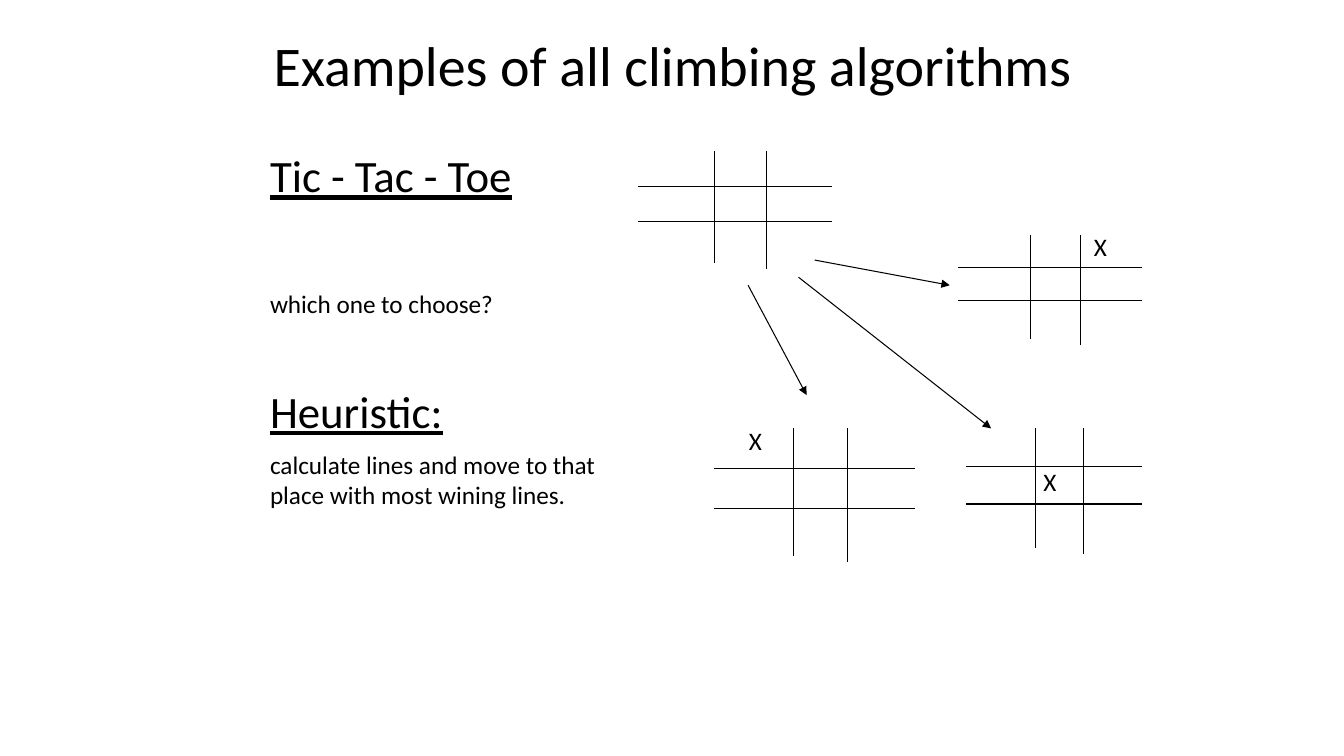
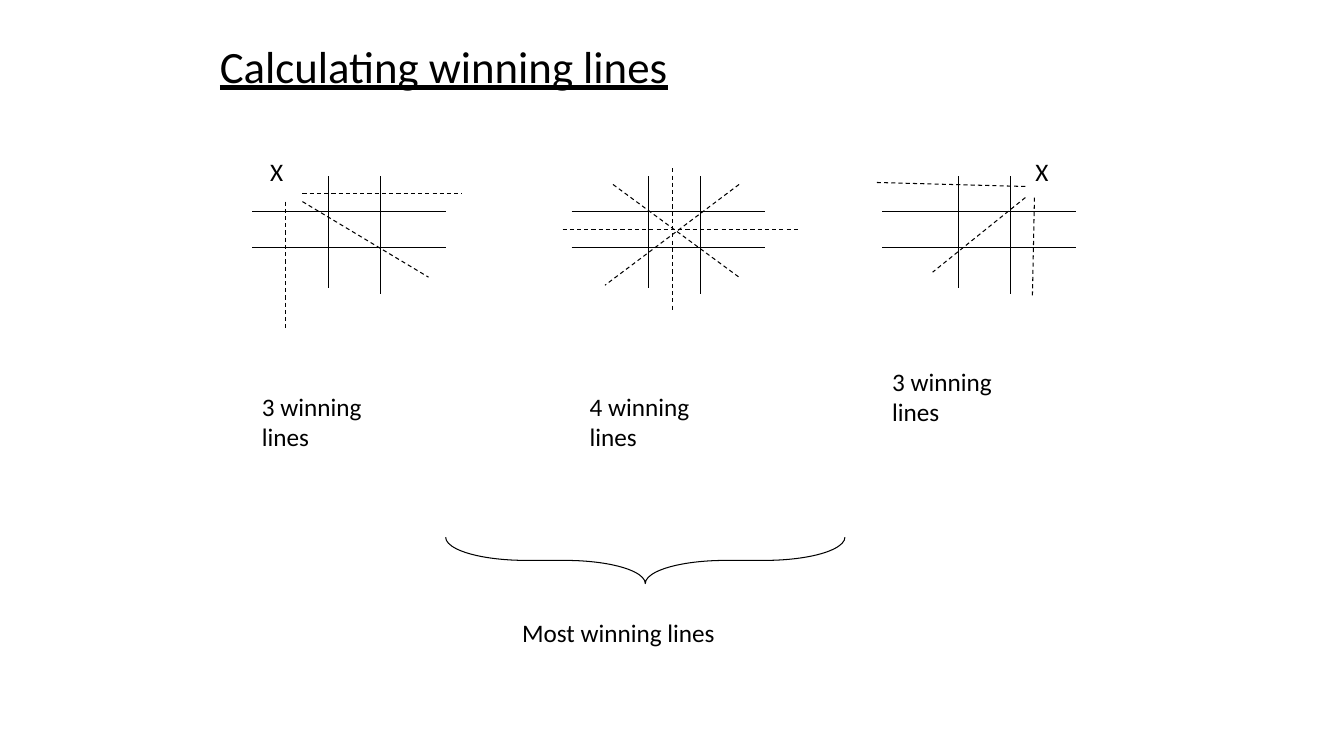
from pptx import Presentation
from pptx.dml.color import RGBColor
from pptx.enum.dml import MSO_LINE
from pptx.enum.shapes import MSO_CONNECTOR, MSO_SHAPE
from pptx.enum.text import MSO_ANCHOR, MSO_AUTO_SIZE, PP_ALIGN
from pptx.oxml.ns import qn
from pptx.util import Inches, Pt
from lxml import etree

BLACK = RGBColor(0, 0, 0)
WHITE = RGBColor(255, 255, 255)
FONT = "Calibri"
HEAD, BODY = 32, 18
THIN = Pt(0.75)
DASH = MSO_LINE.DASH
STRAIGHT = MSO_CONNECTOR.STRAIGHT
BRACE = MSO_SHAPE.RIGHT_BRACE
TOP = MSO_ANCHOR.TOP
LEFT, CENTER = PP_ALIGN.LEFT, PP_ALIGN.CENTER
NO_FIT = MSO_AUTO_SIZE.NONE

# Share of the board's size at which its lines sit
COLUMNS = (0.395, 0.665)
ROWS = (0.3, 0.6)
COLUMN_ENDS = (0.95, 1)


class Deck:
    """Holds the shared style and the current slide."""

    def __init__(self):
        self.prs = Presentation()
        self.prs.slide_width = Inches(13.33)
        self.prs.slide_height = Inches(7.5)
        self.s = None

    def slide(self):
        self.s = self.prs.slides.add_slide(self.prs.slide_layouts[5])
        fill = self.s.background.fill
        fill.solid()
        fill.fore_color.rgb = WHITE

    def run(self, p, text, size, underline=False):
        r = p.add_run()
        r.text = text
        r.font.name = FONT
        r.font.size = Pt(size)
        r.font.underline = underline
        r.font.color.rgb = BLACK

    def frame(self, sp):
        tf = sp.text_frame
        tf.word_wrap = True
        tf.auto_size = NO_FIT
        tf.vertical_anchor = TOP
        return tf

    def title(self, x, y, w, h, text, size, align=LEFT, underline=False):
        sp = self.s.shapes.title
        sp.left, sp.top, sp.width, sp.height = map(Inches, (x, y, w, h))
        p = self.frame(sp).paragraphs[0]
        p.alignment = align
        self.run(p, text, size, underline)

    def text(self, x, y, w, h, *paragraphs):
        """Each paragraph is (text, size, underline, space before)."""
        sp = self.s.shapes.add_textbox(*map(Inches, (x, y, w, h)))
        tf = self.frame(sp)
        for i, (text, size, underline, before) in enumerate(paragraphs):
            p = tf.add_paragraph() if i else tf.paragraphs[0]
            if i:
                p.space_before = Pt(before)
            self.run(p, text, size, underline)

    def label(self, x, y, w, h, text):
        self.text(x, y, w, h, (text, BODY, False, 0))

    def mark(self, x, y):
        self.label(x, y, 0.42, 0.4, "X")

    def line(self, x1, y1, x2, y2, dashed=False, arrow=False):
        c = self.s.shapes.add_connector(
            STRAIGHT, *map(Inches, (x1, y1, x2, y2)))
        c.line.color.rgb = BLACK
        c.line.width = THIN
        if dashed:
            c.line.dash_style = DASH
        sp_pr = c._element.spPr
        if arrow:
            tail = etree.SubElement(sp_pr.find(qn("a:ln")), qn("a:tailEnd"))
            tail.set("type", "triangle")
        etree.SubElement(sp_pr, qn("a:effectLst"))

    def board(self, x, y, w=1.92, h=1.17):
        for row in ROWS:
            self.line(x, y + row * h, x + w, y + row * h)
        for column, end in zip(COLUMNS, COLUMN_ENDS):
            self.line(x + column * w, y, x + column * w, y + end * h)

    def brace(self, x, y, w, h):
        """Brace pointing down, placed by its size before rotation."""
        sp = self.s.shapes.add_shape(BRACE, *map(Inches, (x, y, w, h)))
        sp.rotation = 90
        sp.adjustments[0] = 1.73
        sp.adjustments[1] = 0.5
        sp.shadow.inherit = False
        sp.fill.background()
        sp.line.color.rgb = BLACK
        sp.line.width = THIN


def choosing_move(d):
    d.slide()
    d.title(1.92, 0.25, 9.5, 0.77, "Examples of all climbing algorithms",
            40, CENTER)
    d.text(2.58, 1.42, 3.5, 3.92,
           ("Tic - Tac - Toe", HEAD, True, 0),
           ("which one to choose?", BODY, False, 62),
           ("Heuristic:", HEAD, True, 46.5),
           ("calculate lines and move to that place with most wining lines.",
            BODY, False, 8))

    # Empty board and the three possible moves
    d.board(6.33, 1.5)
    d.board(9.5, 2.33, 1.83, 1.09)
    d.board(9.58, 4.25, 1.75, 1.25)
    d.board(7.08, 4.25, 2, 1.33)
    for x, y in ((10.75, 2.25), (10.25, 4.58), (7.33, 4.17)):
        d.mark(x, y)
    for ends in ((8.08, 2.58, 9.42, 2.83),
                 (7.92, 2.75, 9.83, 4.25),
                 (7.42, 2.83, 8, 3.92)):
        d.line(*ends, arrow=True)


def winning_lines(d):
    d.slide()
    d.title(2.08, 0.33, 4.92, 0.63, "Calculating winning lines", HEAD,
            underline=True)

    # Boards with their marks
    for x in (2.5, 5.67, 8.75):
        d.board(x, 1.75)
    for x in (2.58, 10.17):
        d.mark(x, 1.5)

    # Winning lines: corner, centre, corner
    for ends in ((2.83, 2, 2.83, 3.25),
                 (3, 1.92, 4.58, 1.92),
                 (3, 2, 4.25, 2.75),
                 (5.58, 2.28, 7.92, 2.28),
                 (6.67, 1.67, 6.67, 3.08),
                 (6.08, 1.83, 7.33, 2.75),
                 (7.33, 1.83, 6, 2.83),
                 (10.17, 1.85, 8.68, 1.81),
                 (10.26, 1.96, 10.24, 2.93),
                 (10.17, 1.96, 9.25, 2.7)):
        d.line(*ends, dashed=True)

    # Counts and result
    for x, y, count in ((2.5, 3.83, 3), (5.75, 3.83, 4), (8.75, 3.58, 3)):
        d.label(x, y, 1.67, 0.71, f"{count} winning lines")
    d.label(5.08, 6.08, 2.83, 0.4, "Most winning lines")
    d.brace(6.17, 3.58, 0.46, 3.96)


def main():
    d = Deck()
    choosing_move(d)
    winning_lines(d)
    d.prs.save("out.pptx")


if __name__ == "__main__":
    main()
